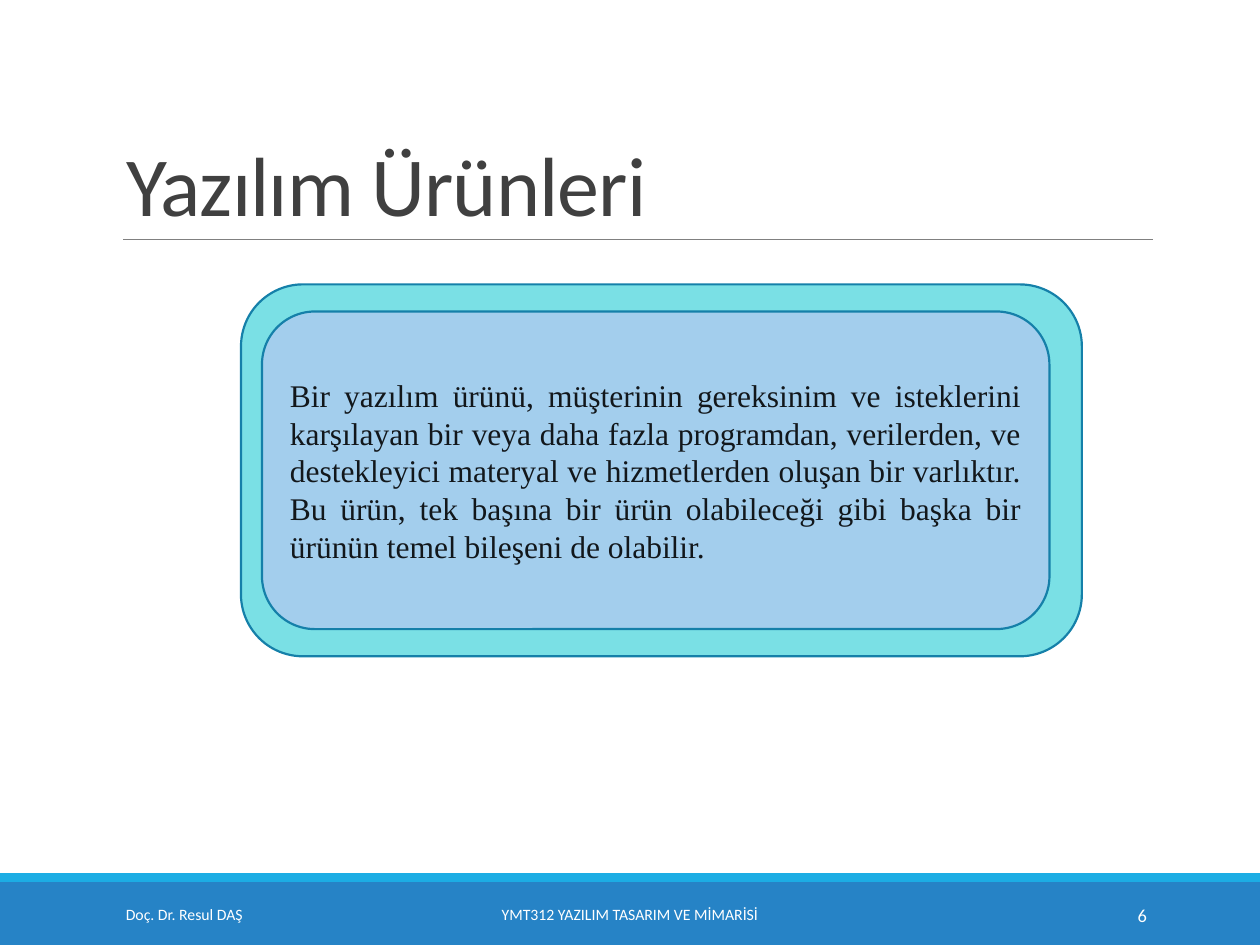
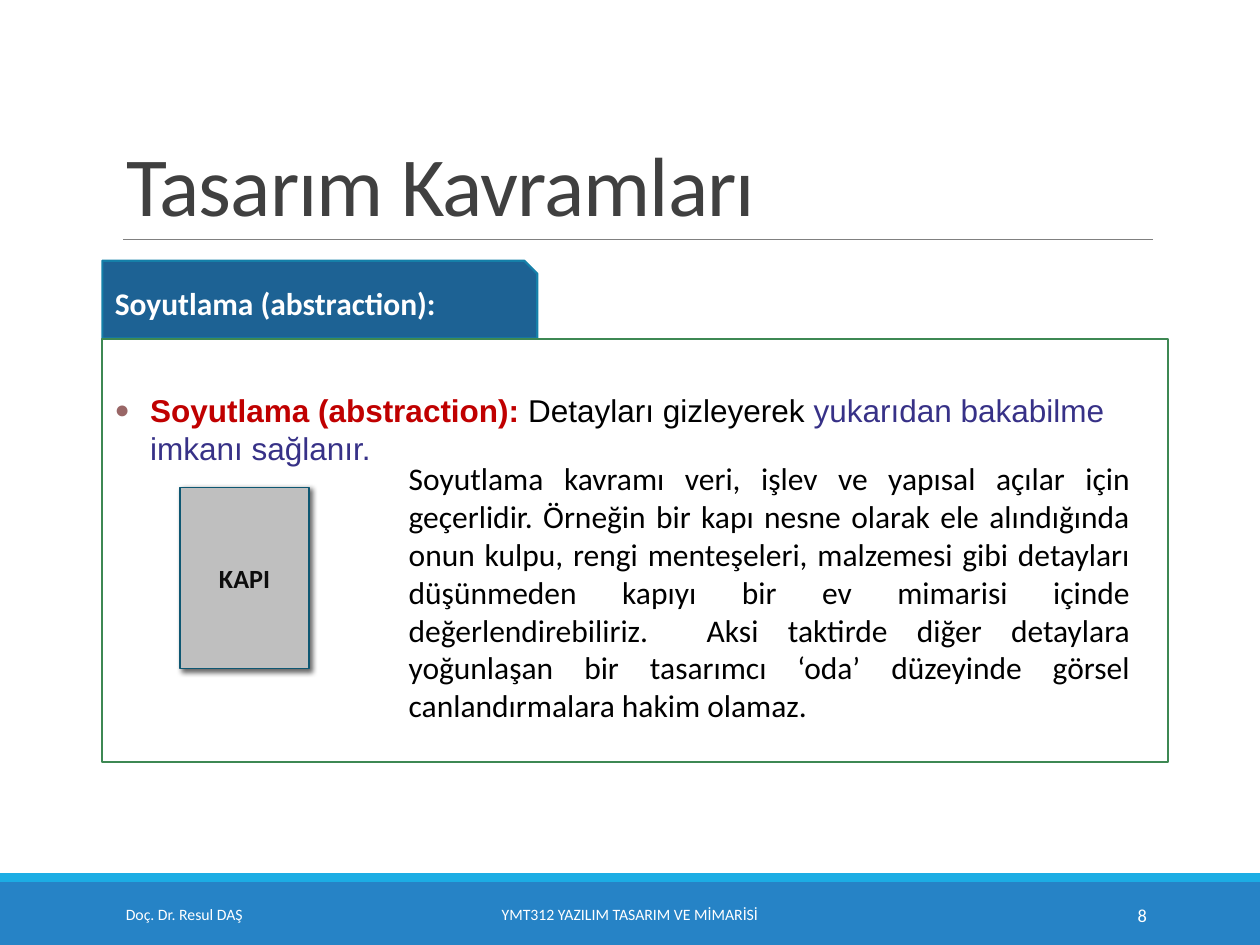
import pptx
import pptx.dml.color
import pptx.enum.shapes
import pptx.enum.text
import pptx.oxml
import pptx.oxml.ns
import pptx.util

Pt = pptx.util.Pt
Align = pptx.enum.text.PP_ALIGN
Anchor = pptx.enum.text.MSO_ANCHOR
Shape = pptx.enum.shapes.MSO_SHAPE
NAMESPACE = pptx.oxml.ns.nsdecls("a")

WIDTH, HEIGHT = 720, 540
BAND_TOP, STRIPE = 504, 5
FOOTER_TOP, FOOTER_HEIGHT = 508.3, 28.8
WHITE, BLACK = "FFFFFF", "000000"
OUTLINE = "1580A9"


def color(value):
    return pptx.dml.color.RGBColor.from_string(value)


def element(xml):
    return pptx.oxml.parse_xml(xml.replace(">", f" {NAMESPACE}>", 1))


def add_text(paragraph, text, size=18, font="Calibri", ink=BLACK, bold=False,
             align=Align.LEFT, tracking=None):
    paragraph.alignment = align
    run = paragraph.add_run()
    run.text = text
    run.font.size = Pt(size)
    run.font.name = font
    run.font.bold = bold
    run.font.color.rgb = color(ink)
    if tracking is not None:
        run.font._element.set("spc", str(int(tracking * 100)))


class Deck:
    def __init__(self):
        self.presentation = pptx.Presentation()
        self.presentation.slide_width = Pt(WIDTH)
        self.presentation.slide_height = Pt(HEIGHT)
        self.slide = None

    def add_slide(self, title, number):
        self.slide = self.presentation.slides.add_slide(self.presentation.slide_layouts[5])
        self.shape(Shape.RECTANGLE, 0, BAND_TOP, WIDTH, HEIGHT - BAND_TOP, "2683C6")
        self.shape(Shape.RECTANGLE, 0, BAND_TOP - STRIPE, WIDTH, STRIPE, "1CADE4")
        self.rule(70.5, 137, 659)
        self.title(title)
        footers = (
            (64.8, 146, "Doç. Dr. Resul DAŞ", 9, Align.LEFT),
            (217.4, 285, "YMT312 YAZILIM TASARIM VE MİMARİSİ", 9, Align.CENTER),
            (584.6, 77.8, str(number), 10.5, Align.RIGHT),
        )
        for left, width, text, size, align in footers:
            self.text_box(left, FOOTER_TOP, width, FOOTER_HEIGHT, text,
                          anchor=Anchor.MIDDLE, size=size, ink=WHITE, align=align)

    def title(self, text):
        title = self.slide.shapes.title
        title.left, title.top, title.width, title.height = Pt(64.8), Pt(22.5), Pt(594), Pt(114.5)
        frame = title.text_frame
        frame.vertical_anchor = Anchor.BOTTOM
        frame.auto_size = pptx.enum.text.MSO_AUTO_SIZE.NONE
        frame.paragraphs[0].line_spacing = 0.85
        add_text(frame.paragraphs[0], text, size=48, ink="404040", tracking=-0.5)

    def rule(self, left, top, right):
        line = self.slide.shapes.add_connector(
            pptx.enum.shapes.MSO_CONNECTOR.STRAIGHT, Pt(left), Pt(top), Pt(right), Pt(top))
        line.line.color.rgb = color("808080")
        line.line.width = Pt(0.5)
        line._element.spPr.append(element("<a:effectLst></a:effectLst>"))

    def shape(self, kind, left, top, width, height, fill, outline=None, weight=1.25,
              text=None, **text_format):
        shape = self.slide.shapes.add_shape(kind, Pt(left), Pt(top), Pt(width), Pt(height))
        shape.shadow.inherit = False
        shape.fill.solid()
        shape.fill.fore_color.rgb = color(fill)
        if outline:
            shape.line.color.rgb = color(outline)
            shape.line.width = Pt(weight)
        else:
            shape.line.fill.background()
        if text:
            shape.text_frame.vertical_anchor = Anchor.MIDDLE
            add_text(shape.text_frame.paragraphs[0], text, **text_format)
        return shape

    def text_box(self, left, top, width, height, text, anchor=Anchor.TOP, **text_format):
        box = self.slide.shapes.add_textbox(Pt(left), Pt(top), Pt(width), Pt(height))
        box.text_frame.word_wrap = True
        box.text_frame.vertical_anchor = anchor
        add_text(box.text_frame.paragraphs[0], text, **text_format)

    def bullet(self, shape, top_margin, runs):
        frame = shape.text_frame
        frame.vertical_anchor = Anchor.TOP
        frame.margin_top = Pt(top_margin)
        paragraph = frame.paragraphs[0]
        for text, text_format in runs:
            add_text(paragraph, text, font="Arial", **text_format)
        properties = paragraph._p.get_or_add_pPr()
        properties.set("marL", str(Pt(20.25)))
        properties.set("indent", str(-Pt(20.25)))
        for xml in ('<a:buClr><a:srgbClr val="996666"/></a:buClr>',
                    '<a:buSzPct val="80000"></a:buSzPct>',
                    '<a:buFont typeface="Arial"></a:buFont>',
                    '<a:buChar char="●"></a:buChar>'):
            properties.append(element(xml))

    def drop_shadow(self, shape):
        effects = shape._element.spPr.find(pptx.oxml.ns.qn("a:effectLst"))
        effects.append(element(
            f'<a:outerShdw blurRad="{Pt(3)}" dist="{Pt(2)}" dir="2700000" algn="tl" '
            'rotWithShape="0"><a:srgbClr val="000000"><a:alpha val="60000"/>'
            '</a:srgbClr></a:outerShdw>'))

    def save(self):
        self.presentation.save("out.pptx")


deck = Deck()

deck.add_slide("Yazılım Ürünleri", 6)
deck.shape(Shape.ROUNDED_RECTANGLE, 137.7, 162.5, 480.5, 212.5, "7AE0E5", OUTLINE)
deck.shape(
    Shape.ROUNDED_RECTANGLE, 149.7, 178, 450, 181.5, "A3CEED", OUTLINE,
    text="Bir yazılım ürünü, müşterinin gereksinim ve isteklerini karşılayan bir veya daha "
         "fazla programdan, verilerden, ve destekleyici materyal ve hizmetlerden oluşan bir "
         "varlıktır. Bu ürün, tek başına bir ürün olabileceği gibi başka bir ürünün temel "
         "bileşeni de olabilir.",
    font="Times New Roman", ink="12171B", align=Align.JUSTIFY)

deck.add_slide("Tasarım Kavramları", 8)
concept = "Soyutlama (abstraction): "
deck.shape(Shape.SNIP_1_RECTANGLE, 58.5, 149, 248.5, 44.5, "1D6294", OUTLINE,
           text=concept, ink=WHITE, bold=True)
panel = deck.shape(Shape.RECTANGLE, 58.5, 193.5, 609, 242, WHITE, "3E8853")
deck.bullet(panel, 30, (
    (concept, {"ink": "C00000", "bold": True}),
    ("Detayları gizleyerek ", {}),
    ("yukarıdan bakabilme imkanı sağlanır. ", {"ink": "373187"}),
))
door = deck.shape(Shape.RECTANGLE, 103, 278.5, 73.5, 103.5, "BFBFBF", "0E5772", 1,
                  text="KAPI", size=15, ink="0D0D0D", bold=True, align=Align.CENTER)
deck.drop_shadow(door)
deck.text_box(
    226.5, 259, 426.5, 160,
    "Soyutlama kavramı veri, işlev ve yapısal açılar için geçerlidir. Örneğin bir kapı nesne "
    "olarak ele alındığında onun kulpu, rengi menteşeleri, malzemesi gibi detayları düşünmeden "
    "kapıyı bir ev mimarisi içinde değerlendirebiliriz.  Aksi taktirde diğer detaylara "
    "yoğunlaşan bir tasarımcı ‘oda’ düzeyinde görsel canlandırmalara hakim olamaz.",
    align=Align.JUSTIFY)

deck.save()
